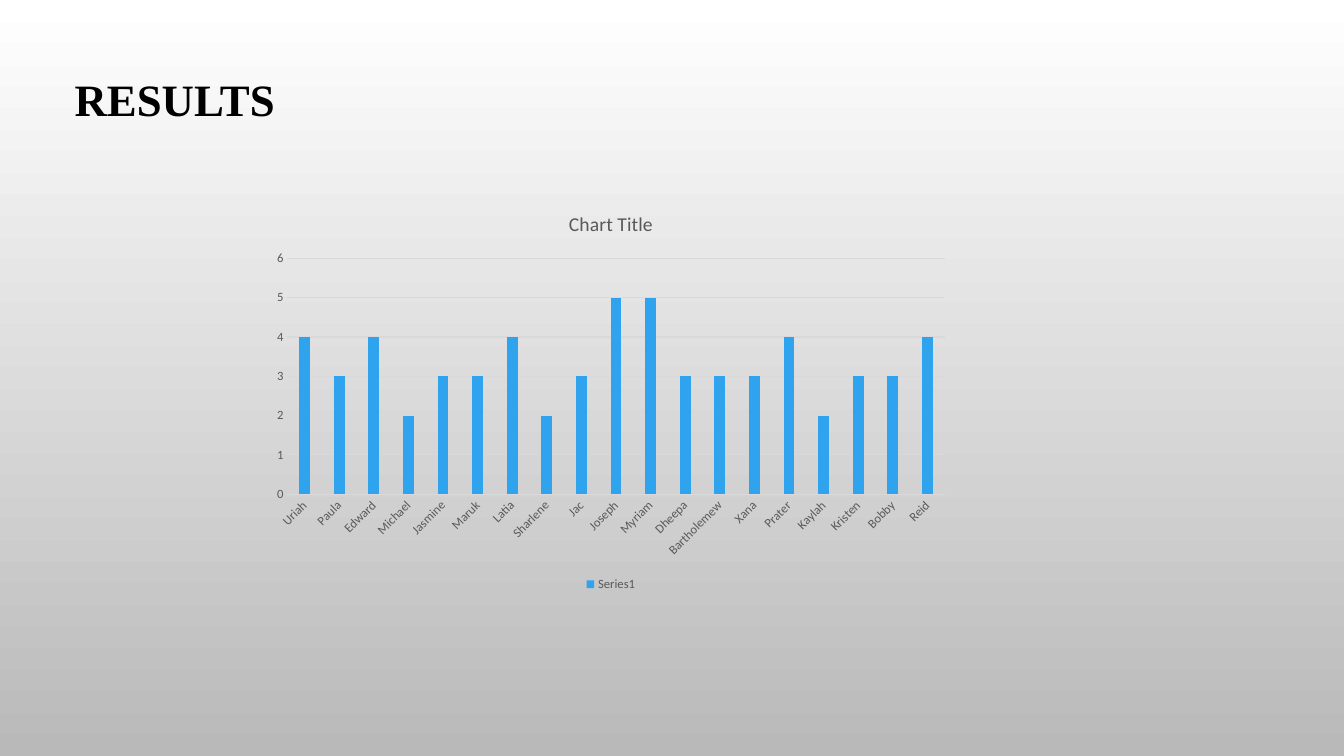
from pptx import Presentation
from pptx.chart.data import CategoryChartData
from pptx.dml.color import RGBColor
from pptx.enum.chart import XL_CHART_TYPE, XL_LEGEND_POSITION, XL_TICK_MARK
from pptx.enum.text import MSO_ANCHOR
from pptx.oxml.ns import qn
from pptx.util import Cm, Pt

BLACK = RGBColor(0x00, 0x00, 0x00)
WHITE = RGBColor(0xFF, 0xFF, 0xFF)
SILVER = RGBColor(0xB9, 0xB9, 0xB9)
LABEL_GREY = RGBColor(0x59, 0x59, 0x59)
GRID_GREY = RGBColor(0xD9, 0xD9, 0xD9)
BAR_BLUE = RGBColor(0x2F, 0xA3, 0xEE)

RESULTS = [
    ("Uriah", 4), ("Paula", 3), ("Edward", 4), ("Michael", 2), ("Jasmine", 3),
    ("Maruk", 3), ("Latia", 4), ("Sharlene", 2), ("Jac", 3), ("Joseph", 5),
    ("Myriam", 5), ("Dheepa", 3), ("Bartholemew", 3), ("Xana", 3),
    ("Prater", 4), ("Kaylah", 2), ("Kristen", 3), ("Bobby", 3), ("Reid", 4),
]


class SlideBuilder:
    heading_font = "Times New Roman"
    chart_font = "Calibri"

    def __init__(self, slide):
        self.slide = slide

    def background(self, top, bottom):
        fill = self.slide.background.fill
        fill.gradient()
        fill.gradient_angle = 270
        for stop, position, color in zip(fill.gradient_stops, (0, 1), (top, bottom)):
            stop.position = position
            stop.color.rgb = color

    def style_font(self, font, name, size, color, bold=False):
        font.name = name
        font.size = Pt(size)
        font.color.rgb = color
        font.bold = bold

    def heading(self, text, left, top, width, height):
        heading = self.slide.shapes.add_textbox(left, top, width, height)
        frame = heading.text_frame
        frame.word_wrap = True
        frame.vertical_anchor = MSO_ANCHOR.BOTTOM
        frame.text = text
        self.style_font(frame.paragraphs[0].runs[0].font,
                        self.heading_font, 32, BLACK, bold=True)

    def style_line(self, line):
        line.color.rgb = GRID_GREY
        line.width = Pt(0.75)

    def column_chart(self, title, series_name, results, left, top, width, height):
        data = CategoryChartData()
        data.categories = [person for person, _ in results]
        data.add_series(series_name, [score for _, score in results])
        chart = self.slide.shapes.add_chart(
            XL_CHART_TYPE.COLUMN_CLUSTERED, left, top, width, height, data).chart
        self.style_font(chart.font, self.chart_font, 10, BLACK)

        chart.has_title = True
        chart.chart_title.include_in_layout = False
        chart.chart_title.text_frame.text = title
        title_run = chart.chart_title.text_frame.paragraphs[0].runs[0]
        self.style_font(title_run.font, self.chart_font, 14, LABEL_GREY)

        chart.has_legend = True
        chart.legend.position = XL_LEGEND_POSITION.BOTTOM
        chart.legend.include_in_layout = False
        self.style_font(chart.legend.font, self.chart_font, 9, LABEL_GREY)

        plot = chart.plots[0]
        plot.vary_by_categories = False
        plot.gap_width = 219
        plot.overlap = -27
        bars = plot.series[0].format.fill
        bars.solid()
        bars.fore_color.rgb = BAR_BLUE

        people, scores = chart.category_axis, chart.value_axis
        for axis in (people, scores):
            axis.major_tick_mark = XL_TICK_MARK.NONE
            axis.minor_tick_mark = XL_TICK_MARK.NONE
            self.style_font(axis.tick_labels.font, self.chart_font, 9, LABEL_GREY)
        self.style_line(people.format.line)
        slanted = people._element.find(qn("c:txPr")).find(qn("a:bodyPr"))
        slanted.set("rot", "-2700000")
        scores.minimum_scale, scores.maximum_scale, scores.major_unit = 0, 6, 1
        scores.format.line.fill.background()
        scores.has_major_gridlines = True
        self.style_line(scores.major_gridlines.format.line)


def main():
    deck = Presentation()
    deck.slide_width, deck.slide_height = Cm(33.87), Cm(19.05)
    builder = SlideBuilder(deck.slides.add_slide(deck.slide_layouts[6]))
    builder.background(WHITE, SILVER)
    builder.heading("RESULTS", Cm(1.63), Cm(1.65), Cm(19.28), Cm(1.63))
    builder.column_chart("Chart Title", "Series1", RESULTS,
                         Cm(6.63), Cm(4.88), Cm(17.53), Cm(10.13))
    deck.save("out.pptx")


if __name__ == "__main__":
    main()
